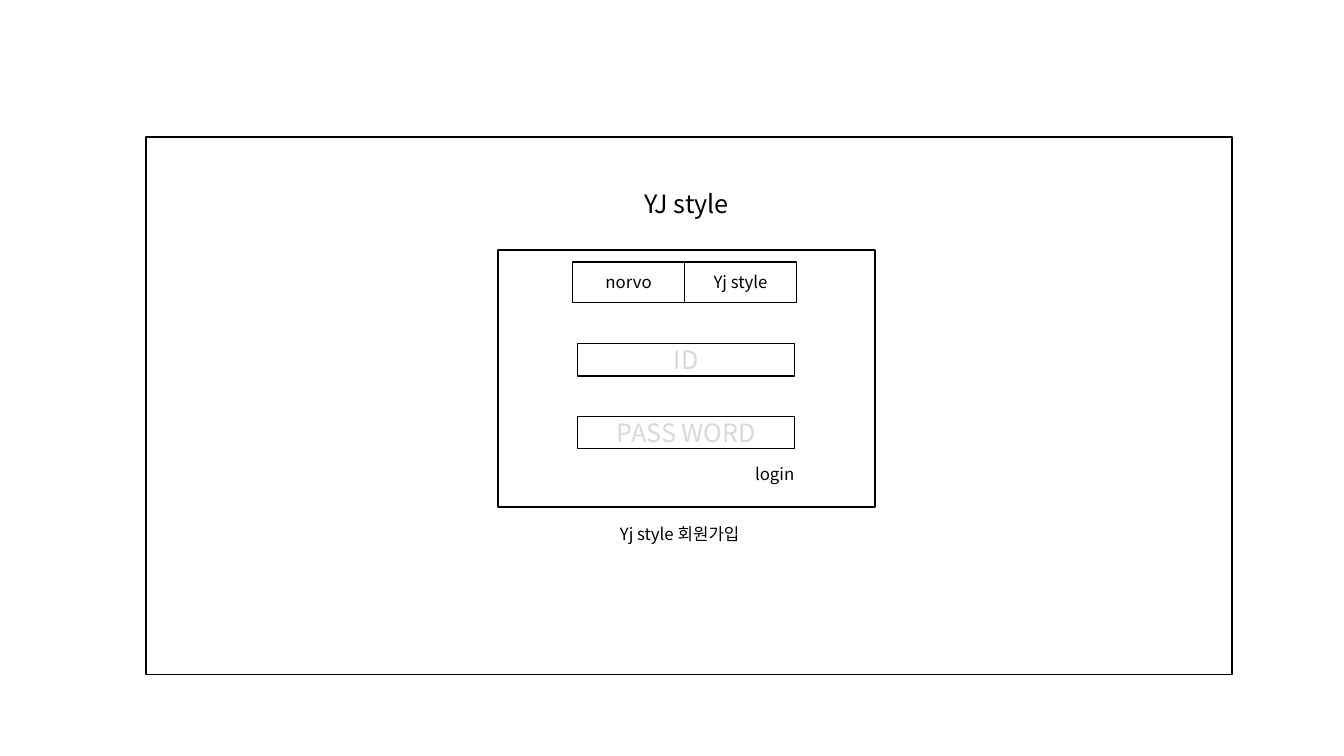
from dataclasses import dataclass

from lxml.etree import SubElement
from pptx import Presentation
from pptx.dml.color import RGBColor
from pptx.enum.shapes import MSO_SHAPE as Shape
from pptx.enum.text import MSO_ANCHOR as Anchor, MSO_AUTO_SIZE as AutoSize, PP_ALIGN as Align
from pptx.oxml.ns import qn
from pptx.util import Inches, Pt


@dataclass(frozen=True)
class Theme:
    font: str = "Noto Sans CJK KR"
    paper: RGBColor = RGBColor(0xFF, 0xFF, 0xFF)
    ink: RGBColor = RGBColor(0, 0, 0)
    hint: RGBColor = RGBColor(0xD9, 0xD9, 0xD9)
    large: Pt = Pt(18)
    small: Pt = Pt(12)
    border: Pt = Pt(1)


class Wireframe:
    """Holds the theme and the current slide."""

    def __init__(self, slide, theme):
        self.slide, self.theme = slide, theme

    def set_text(self, frame, words, size, color, align, anchor):
        frame.word_wrap = True
        frame.auto_size = AutoSize.NONE
        frame.vertical_anchor = anchor
        paragraph = frame.paragraphs[0]
        paragraph.text = words
        paragraph.alignment = align
        font = paragraph.font
        font.name, font.size = self.theme.font, size
        font.color.rgb = color
        # Hangul takes its font from the East Asian slot
        SubElement(font._element, qn("a:ea"), typeface=self.theme.font)

    def box(self, left, top, width, height, words="", size=None, color=None):
        theme = self.theme
        box = self.slide.shapes.add_shape(
            Shape.RECTANGLE, Inches(left), Inches(top), Inches(width), Inches(height))
        box.shadow.inherit = False
        box.fill.solid()
        box.fill.fore_color.rgb = theme.paper
        box.line.color.rgb = theme.ink
        box.line.width = theme.border
        if words:
            self.set_text(box.text_frame, words, size or theme.small, color or theme.ink,
                          Align.CENTER, Anchor.MIDDLE)

    def label(self, left, top, width, height, words):
        label = self.slide.shapes.add_textbox(
            Inches(left), Inches(top), Inches(width), Inches(height))
        self.set_text(label.text_frame, words, self.theme.small, self.theme.ink,
                      Align.LEFT, Anchor.TOP)

    def title(self, left, top, width, height, words):
        title = self.slide.shapes.title
        title.left, title.top = Inches(left), Inches(top)
        title.width, title.height = Inches(width), Inches(height)
        self.set_text(title.text_frame, words, self.theme.large, self.theme.ink,
                      Align.CENTER, Anchor.TOP)
        # Bring the title in front of the page frame
        self.slide.shapes._spTree.append(title._element)


deck = Presentation()
deck.slide_width, deck.slide_height = Inches(13.33), Inches(7.5)
theme = Theme()
page = Wireframe(deck.slides.add_slide(deck.slide_layouts[5]), theme)

# Page frame and login panel
page.box(1.45, 1.36, 10.77, 5.33)
page.box(4.94, 2.48, 3.74, 2.55)

# Account tabs
TAB_WIDTH = 1.11
for column, account in enumerate(("norvo", "Yj style")):
    page.box(5.68 + column * TAB_WIDTH, 2.6, TAB_WIDTH, 0.4, account)

# Input fields
FIELD_STEP = 0.72
for row, hint in enumerate(("ID", "PASS WORD")):
    page.box(5.73, 3.41 + row * FIELD_STEP, 2.15, 0.32, hint, theme.large, theme.hint)

# Login and sign-up links
page.label(7.39, 4.55, 0.99, 0.3, "login")
page.label(6.05, 5.15, 2.22, 0.3, "Yj style 회원가입")

# Site name
page.title(4.72, 1.82, 4.18, 0.4, "YJ style")

deck.save("out.pptx")
